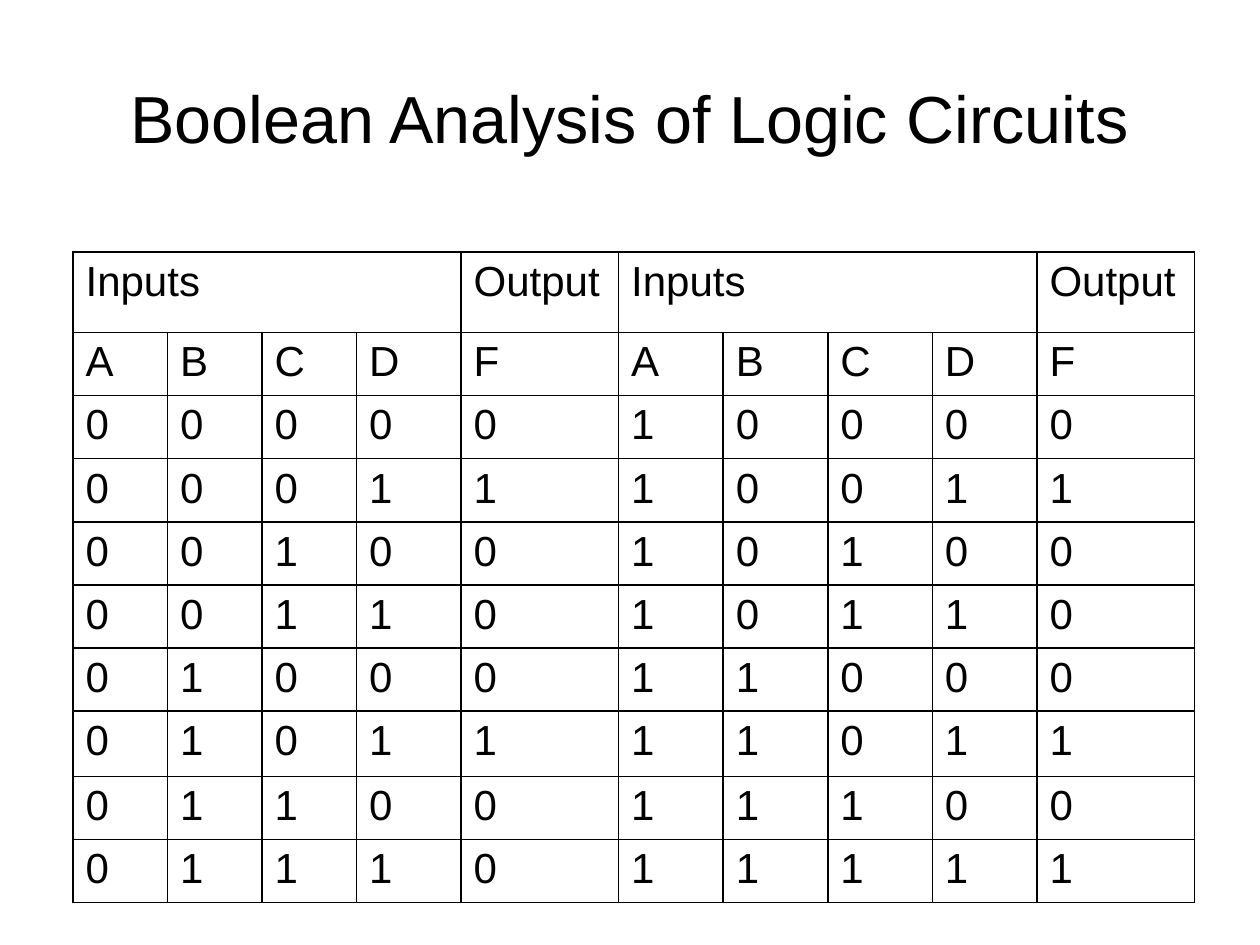
"""Build a slide with the truth table of a four-input logic circuit."""
from dataclasses import dataclass
from itertools import product

from lxml import etree
from pptx import Presentation
from pptx.dml.color import RGBColor
from pptx.enum.text import MSO_ANCHOR, PP_ALIGN
from pptx.oxml.ns import qn
from pptx.util import Inches, Pt


@dataclass(frozen=True)
class Theme:
    font: str = "Arial"
    ink: RGBColor = RGBColor(0, 0, 0)
    title_size: Pt = Pt(38)
    cell_size: Pt = Pt(24)
    rule_width: Pt = Pt(1)


theme = Theme()


def add_text(paragraph, text, size, alignment):
    paragraph.alignment = alignment
    run = paragraph.add_run()
    run.text = text
    run.font.name = theme.font
    run.font.size = size
    run.font.color.rgb = theme.ink


def add_borders(cell):
    properties = cell._tc.get_or_add_tcPr()
    for position, side in enumerate(("lnL", "lnR", "lnT", "lnB")):
        border = etree.Element(qn(f"a:{side}"), w=str(theme.rule_width))
        fill = etree.SubElement(border, qn("a:solidFill"))
        etree.SubElement(fill, qn("a:srgbClr"), val=str(theme.ink))
        properties.insert(position, border)


presentation = Presentation()
presentation.slide_width = Inches(10)
presentation.slide_height = Inches(7.5)
slide = presentation.slides.add_slide(presentation.slide_layouts[6])

title = slide.shapes.add_textbox(Inches(0.5), Inches(0.3), Inches(9), Inches(1.25)).text_frame
title.word_wrap = True
title.vertical_anchor = MSO_ANCHOR.MIDDLE
add_text(title.paragraphs[0], "Boolean Analysis of Logic Circuits", theme.title_size, PP_ALIGN.CENTER)

half_header = ["Inputs", "", "", "", "Output"]
rows = [half_header * 2, list("ABCDF") * 2]
states = [(a, b, c, d, int(d and (not c or (a and b)))) for a, b, c, d in product((0, 1), repeat=4)]
rows += [[str(bit) for bit in low + high] for low, high in zip(states[:8], states[8:])]

column_widths = [0.75] * 3 + [0.83, 1.25] + [0.83] * 4 + [1.25]
row_heights = [0.64] + [0.5] * 6 + [0.52] + [0.5] * 2
hanging_columns = (0, 1, 2, 3, 9)

truth_table = slide.shapes.add_table(
    len(rows), len(column_widths), Inches(0.58), Inches(2),
    Inches(sum(column_widths)), Inches(sum(row_heights)),
).table
truth_table.first_row = False
truth_table.horz_banding = False
for column, width in zip(truth_table.columns, column_widths):
    column.width = Inches(width)
for row, height in zip(truth_table.rows, row_heights):
    row.height = Inches(height)

for row_index, values in enumerate(rows):
    for column_index, value in enumerate(values):
        cell = truth_table.cell(row_index, column_index)
        cell.fill.background()
        add_borders(cell)
        if value:
            paragraph = cell.text_frame.paragraphs[0]
            add_text(paragraph, value, theme.cell_size, PP_ALIGN.JUSTIFY)
            if column_index in hanging_columns:
                indent = Inches(0.38)
                paragraph._p.get_or_add_pPr().set("marL", str(indent))
                paragraph._p.get_or_add_pPr().set("indent", str(-indent))

for first_input in (0, 5):
    truth_table.cell(0, first_input).merge(truth_table.cell(0, first_input + 3))

presentation.save("out.pptx")
